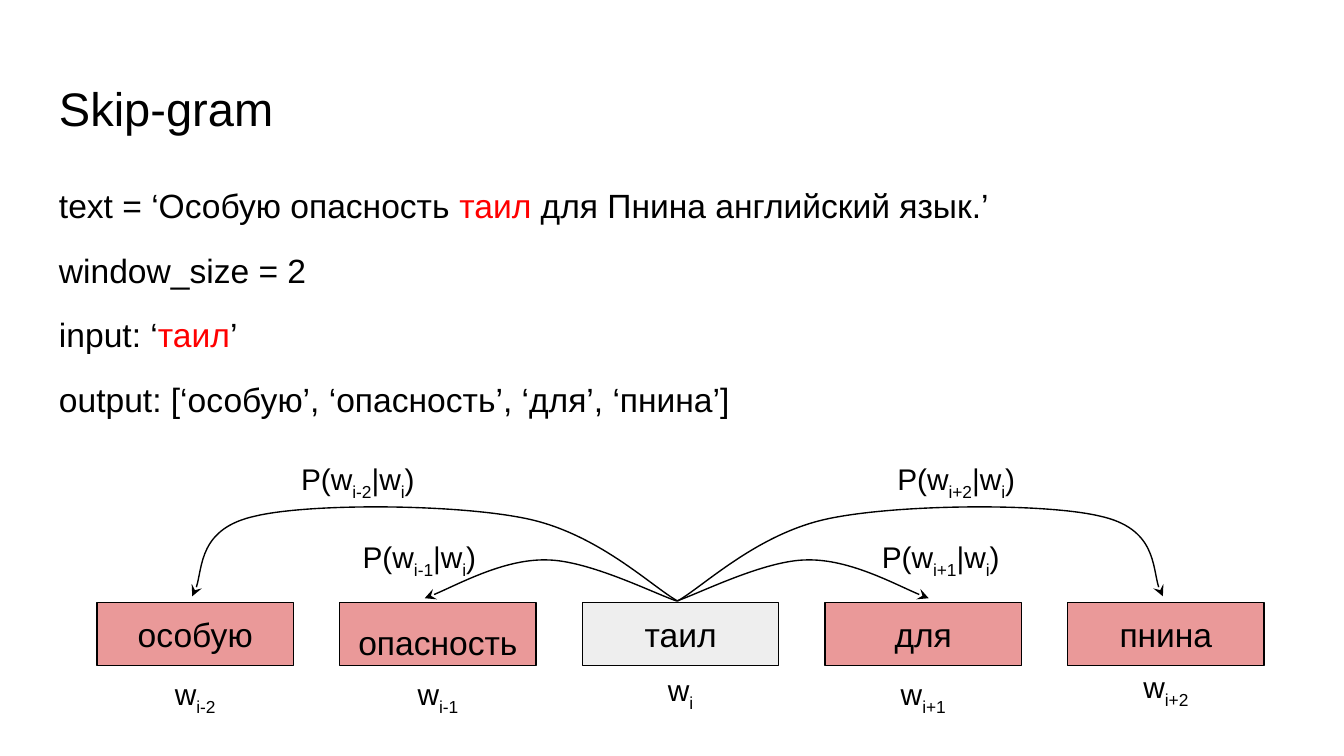
from dataclasses import dataclass
from typing import NamedTuple

from lxml import etree
from pptx import Presentation
from pptx.dml.color import RGBColor
from pptx.enum.shapes import MSO_SHAPE
from pptx.enum.text import MSO_ANCHOR, PP_ALIGN
from pptx.oxml.ns import qn
from pptx.util import Pt

RECTANGLE = MSO_SHAPE.RECTANGLE
TOP, MIDDLE = MSO_ANCHOR.TOP, MSO_ANCHOR.MIDDLE
LEFT, CENTER = PP_ALIGN.LEFT, PP_ALIGN.CENTER


@dataclass(frozen=True)
class Theme:
    font: str = "Arial"
    ink: str = "000000"
    accent: str = "FF0000"
    context_fill: str = "EA9999"
    center_fill: str = "EEEEEE"
    title_size: float = 25.2
    body_size: float = 18
    label_size: float = 16
    line_width: float = 0.75
    inset: float = 7.2
    subscript: str = "-25000"


class Span(NamedTuple):
    text: str
    accent: bool = False
    subscript: bool = False


class Box(NamedTuple):
    left: float
    top: float
    width: float
    height: float


@dataclass(frozen=True)
class Word:
    text: str
    index: str
    label_top: float
    label_width: float = 42.5
    fill: str = Theme.context_fill
    anchor: MSO_ANCHOR = MIDDLE
    line_spacing: float = 1.0


@dataclass(frozen=True)
class Probability:
    index: str
    box: Box


@dataclass(frozen=True)
class Arc:
    start: float
    points: list  # outward distance and height of each Bezier point


THEME = Theme()

BODY = [
    [Span("text = ‘Особую опасность "), Span("таил", accent=True),
     Span(" для Пнина английский язык.’")],
    [Span("window_size = 2")],
    [Span("input: ‘"), Span("таил", accent=True), Span("’")],
    [Span("output: [‘особую’, ‘опасность’, ‘для’, ‘пнина’]")],
]

WORDS = [
    Word("особую", "i-2", 364.3),
    Word("опасность", "i-1", 364.3, anchor=TOP, line_spacing=1.15),
    Word("таил", "i", 362.2, label_width=30.2, fill=THEME.center_fill),
    Word("для", "i+1", 364.3),
    Word("пнина", "i+2", 360.7),
]
FIRST_WORD = Box(52, 322.7, 105.2, 34)
WORD_PITCH = 130
LABEL_HEIGHT = 17.3

PROBABILITIES = [
    Probability("i-2", Box(154.2, 239.8, 81.5, 26.6)),
    Probability("i+2", Box(473.6, 239.8, 105, 26.6)),
    Probability("i-1", Box(187.2, 281.5, 81.5, 26.6)),
    Probability("i+1", Box(465.3, 281.5, 81.5, 26.6)),
]

ARCS = [
    Arc(362.5, [(0, 322), (12, 318), (47.5, 300), (70, 300),
                (92.5, 299.5), (124.5, 317), (135, 320.5)]),
    Arc(363, [(0, 322), (13.5, 314.5), (42.5, 286), (80.5, 278),
              (118, 270), (196.5, 269.5), (226, 276.5),
              (256.5, 283), (254.5, 312.5), (260, 319.5)]),
]


def set_frame(shape, anchor: MSO_ANCHOR) -> None:
    frame = shape.text_frame
    frame.word_wrap = True
    frame.vertical_anchor = anchor
    frame.margin_left = frame.margin_right = Pt(THEME.inset)
    frame.margin_top = frame.margin_bottom = Pt(THEME.inset)


def write(paragraph, spans: list[Span], size: float, alignment: PP_ALIGN = LEFT) -> None:
    paragraph.alignment = alignment
    for span in spans:
        run = paragraph.add_run()
        run.text = span.text
        run.font.name = THEME.font
        run.font.size = Pt(size)
        color = THEME.accent if span.accent else THEME.ink
        run.font.color.rgb = RGBColor.from_string(color)
        if span.subscript:
            run._r.get_or_add_rPr().set("baseline", THEME.subscript)


def add_text(slide, box: Box, paragraphs: list[list[Span]], size: float,
             alignment: PP_ALIGN = LEFT, anchor: MSO_ANCHOR = TOP):
    shape = slide.shapes.add_textbox(*map(Pt, box))
    set_frame(shape, anchor)
    frame = shape.text_frame
    for number, spans in enumerate(paragraphs):
        paragraph = frame.add_paragraph() if number else frame.paragraphs[0]
        write(paragraph, spans, size, alignment)
    return shape


def set_outline(shape) -> None:
    shape.shadow.inherit = False
    shape.line.color.rgb = RGBColor.from_string(THEME.ink)
    shape.line.width = Pt(THEME.line_width)


def indexed(prefix: str, index: str) -> list[Span]:
    return [Span(prefix), Span(index, subscript=True)]


def add_word(slide, word: Word, position: int) -> None:
    box = FIRST_WORD._replace(left=FIRST_WORD.left + position * WORD_PITCH)
    shape = slide.shapes.add_shape(RECTANGLE, *map(Pt, box))
    set_outline(shape)
    shape.fill.solid()
    shape.fill.fore_color.rgb = RGBColor.from_string(word.fill)
    set_frame(shape, word.anchor)
    paragraph = shape.text_frame.paragraphs[0]
    paragraph.line_spacing = word.line_spacing
    write(paragraph, [Span(word.text)], THEME.body_size, CENTER)

    label_left = box.left + (box.width - word.label_width) / 2
    label = Box(label_left, word.label_top, word.label_width, LABEL_HEIGHT)
    add_text(slide, label, [indexed("w", word.index)], THEME.label_size, CENTER, MIDDLE)


def add_arc(slide, arc: Arc, direction: int) -> None:
    points = [(Pt(arc.start + direction * x), Pt(y)) for x, y in arc.points]
    builder = slide.shapes.build_freeform(*points[0])
    builder.add_line_segments(points[1:], close=False)
    shape = builder.convert_to_shape()
    set_outline(shape)
    shape.fill.background()

    # Every three points become one cubic Bezier segment
    segments = list(shape._element.iter(qn("a:lnTo")))
    outline = segments[0].getparent()
    for first in range(0, len(segments), 3):
        curve = etree.SubElement(outline, qn("a:cubicBezTo"))
        for segment in segments[first:first + 3]:
            curve.append(segment[0])
            outline.remove(segment)

    etree.SubElement(shape.line._get_or_add_ln(), qn("a:tailEnd"), type="stealth")


def main() -> None:
    presentation = Presentation()
    presentation.slide_width, presentation.slide_height = Pt(720), Pt(405)
    slide = presentation.slides.add_slide(presentation.slide_layouts[6])

    # Title and example
    add_text(slide, Box(24.5, 35.3, 671, 45.4), [[Span("Skip-gram")]], THEME.title_size)
    body = add_text(slide, Box(24.5, 90.7, 671, 142.6), BODY, THEME.body_size)
    for number, paragraph in enumerate(body.text_frame.paragraphs):
        paragraph.line_spacing = 1.05
        paragraph.space_before = Pt(12 if number else 0)

    # Words of the window
    for position, word in enumerate(WORDS):
        add_word(slide, word, position)

    # Arrows from the center word, mirrored to both sides
    for arc in ARCS:
        for direction in (1, -1):
            add_arc(slide, arc, direction)

    # Probabilities
    for probability in PROBABILITIES:
        spans = indexed("P(w", probability.index) + indexed("|w", "i") + [Span(")")]
        add_text(slide, probability.box, [spans], THEME.label_size)

    presentation.save("out.pptx")


if __name__ == "__main__":
    main()
